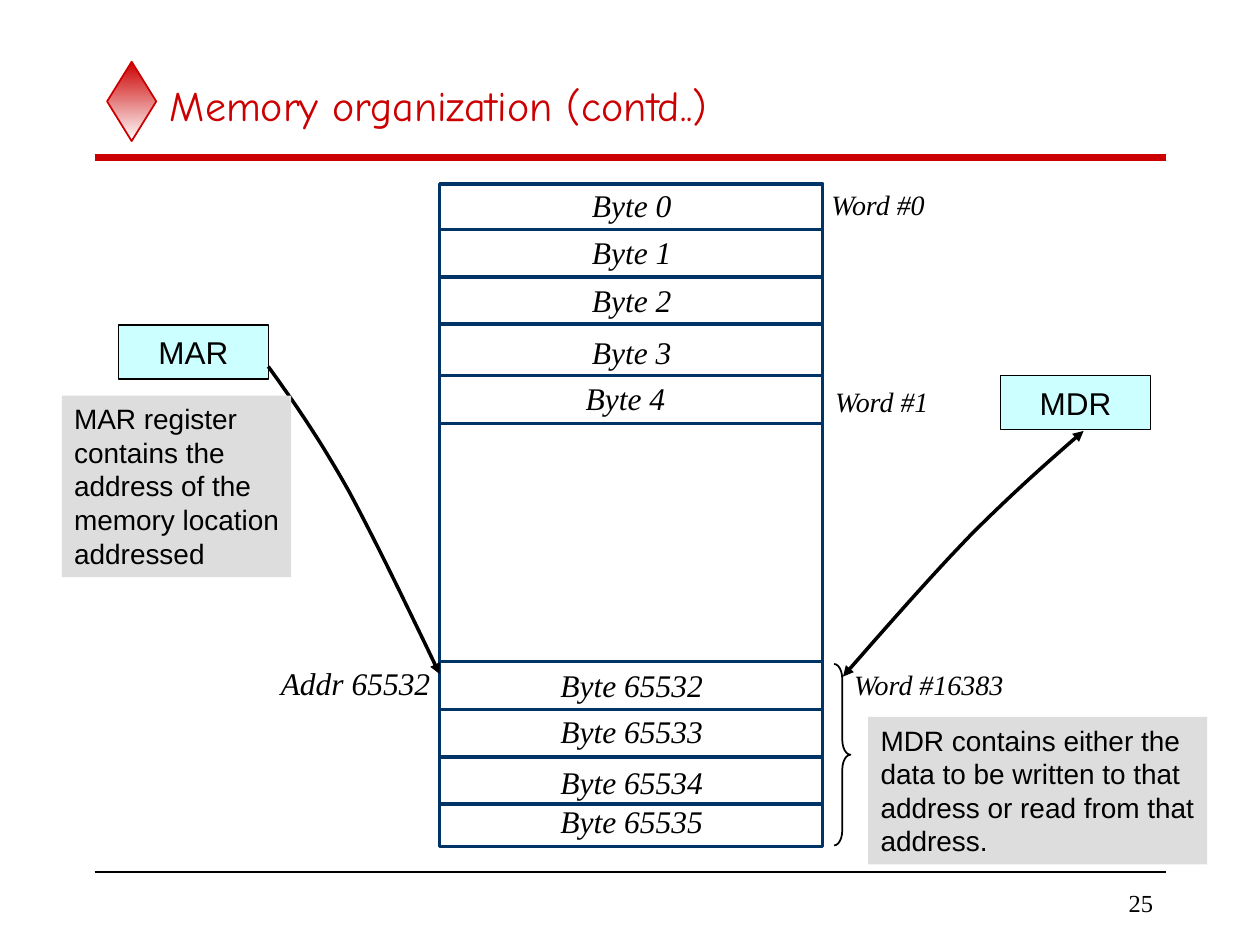
import pptx
import pptx.dml.color
import pptx.enum.shapes
import pptx.enum.text
import pptx.oxml.ns
import pptx.shapes.autoshape
import pptx.util
from dataclasses import dataclass
from typing import Any, Optional
from lxml import etree

Inches = pptx.util.Inches
Shape = pptx.enum.shapes.MSO_SHAPE
Align = pptx.enum.text.PP_ALIGN
Anchor = pptx.enum.text.MSO_ANCHOR
AutoSize = pptx.enum.text.MSO_AUTO_SIZE
qn = pptx.oxml.ns.qn

COLOURS = {
    "red": "CC0000",
    "white": "FFFFFF",
    "black": "000000",
    "navy": "003366",
    "cyan": "CCFFFF",
    "grey": "DDDDDD",
}
SERIF = "Times New Roman"
BYTE_FORMAT = {"name": SERIF, "size": pptx.util.Pt(18), "italic": True}
WORD_FORMAT = {"name": SERIF, "size": pptx.util.Pt(16), "italic": True}
REGISTER_FORMAT = {"name": "Arial", "size": pptx.util.Pt(18)}
NOTE_FORMAT = {"name": "Arial", "size": pptx.util.Pt(16)}
TITLE_FORMAT = {"name": "Comic Neue", "size": pptx.util.Pt(24)}
NUMBER_FORMAT = {"name": SERIF, "size": pptx.util.Pt(14)}

MEMORY_LEFT, MEMORY_RIGHT = 3.5, 6.54
DIVIDERS = (1.82, 2.2, 2.57, 2.98, 3.36, 5.25, 5.63, 6.01, 6.38)

Point = tuple[float, float]
Area = tuple[float, float, float, float]


@dataclass
class Label:
    text: str
    area: Area
    format: dict[str, Any]
    colour: str = "black"
    align: Any = Align.LEFT
    anchor: Any = Anchor.TOP


@dataclass
class Block:
    area: Area
    fill: Optional[str] = None
    line: Optional[str] = "black"
    width: float = 1
    kind: Any = Shape.RECTANGLE


@dataclass
class Curve:
    start: Point
    beziers: list[tuple[Point, Point, Point]]
    ends: tuple[str, ...]


LABELS = [
    *(Label(f"Byte {number}", (4.6, top, 0.83, 0.4), BYTE_FORMAT)
      for number, top in enumerate((1.43, 1.8, 2.18, 2.59))),
    Label("Byte 4", (4.55, 2.96, 0.83, 0.4), BYTE_FORMAT),
    *(Label(f"Byte {number}", (4.35, top, 1.33, 0.4), BYTE_FORMAT)
      for number, top in enumerate((5.24, 5.6, 6.01, 6.32), 65532)),
    Label("Word #0", (6.5, 1.44, 0.97, 0.37), WORD_FORMAT),
    Label("Word #1", (6.53, 3, 0.97, 0.37), WORD_FORMAT),
    Label("Word #16383", (6.68, 5.25, 1.41, 0.37), WORD_FORMAT),
    Label("Addr 65532", (2.13, 5.22, 1.39, 0.4), BYTE_FORMAT),
]
REGISTERS = [
    Label("MAR", (0.94, 2.58, 1.19, 0.43), REGISTER_FORMAT, "black", Align.CENTER, Anchor.MIDDLE),
    Label("MDR", (7.94, 2.98, 1.19, 0.43), REGISTER_FORMAT, "black", Align.CENTER, Anchor.MIDDLE),
]
CURVES = [
    Curve((2.13, 2.91), [((2.34, 3.2), (2.54, 3.49), (2.77, 3.9)),
                         ((2.99, 4.31), (3.24, 4.83), (3.49, 5.35))], ("tailEnd",)),
    Curve((6.69, 5.37), [((7.04, 4.97), (7.39, 4.57), (7.71, 4.24)),
                         ((8.03, 3.92), (8.31, 3.67), (8.6, 3.42))], ("headEnd", "tailEnd")),
]
NOTES = [
    Label("MAR register\ncontains the\naddress of the\nmemory location\naddressed",
          (0.49, 3.14, 1.82, 1.44), NOTE_FORMAT),
    Label("MDR contains either the\ndata to be written to that\naddress or read from that\naddress.",
          (6.89, 5.69, 2.69, 1.17), NOTE_FORMAT),
]


def colour_of(name: str) -> pptx.dml.color.RGBColor:
    return pptx.dml.color.RGBColor.from_string(COLOURS[name])


def apply(target: Any, values: dict[str, Any]) -> None:
    for name, value in values.items():
        setattr(target, name, value)


def style_line(line: Any, colour: str, width: float) -> None:
    line.color.rgb = colour_of(colour)
    line.width = pptx.util.Pt(width)


def write_text(box: Any, label: Label) -> None:
    frame = box.text_frame
    frame.text = label.text
    apply(frame, {"word_wrap": False, "auto_size": AutoSize.NONE, "vertical_anchor": label.anchor})
    for para in frame.paragraphs:
        para.alignment = label.align
        for span in para.runs:
            apply(span.font, label.format)
            span.font.color.rgb = colour_of(label.colour)


def draw_label(page: Any, label: Label) -> None:
    write_text(page.shapes.add_textbox(*map(Inches, label.area)), label)


def draw_block(page: Any, block: Block) -> pptx.shapes.autoshape.Shape:
    box = page.shapes.add_shape(block.kind, *map(Inches, block.area))
    box.shadow.inherit = False
    if block.fill:
        box.fill.solid()
        box.fill.fore_color.rgb = colour_of(block.fill)
    else:
        box.fill.background()
    if block.line:
        style_line(box.line, block.line, block.width)
    else:
        box.line.fill.background()
    return box


def draw_rule(page: Any, left: float, right: float, top: float, colour: str, width: float) -> None:
    rule = page.shapes.add_connector(
        pptx.enum.shapes.MSO_CONNECTOR.STRAIGHT,
        Inches(left), Inches(top), Inches(right), Inches(top))
    style_line(rule.line, colour, width)
    etree.SubElement(rule.element.spPr, qn("a:effectLst"))


def bezier_points(points: tuple[Point, ...], steps: int = 16) -> list[Point]:
    found = []
    for step in range(1, steps + 1):
        t = step / steps
        weights = ((1 - t) ** 3, 3 * t * (1 - t) ** 2, 3 * t * t * (1 - t), t ** 3)
        found.append(tuple(
            Inches(sum(w * point[axis] for w, point in zip(weights, points))) for axis in (0, 1)))
    return found


def draw_curve(page: Any, curve: Curve) -> None:
    builder = page.shapes.build_freeform(*map(Inches, curve.start))
    start = curve.start
    for bezier in curve.beziers:
        builder.add_line_segments(bezier_points((start, *bezier)), close=False)
        start = bezier[-1]
    arrow = builder.convert_to_shape()
    arrow.shadow.inherit = False
    arrow.fill.background()
    style_line(arrow.line, "black", 2)
    outline = arrow.element.spPr.find(qn("a:ln"))
    for end in curve.ends:
        etree.SubElement(outline, qn(f"a:{end}"), type="triangle")


def draw_header_and_footer(page: Any) -> None:
    diamond = draw_block(page, Block((0.85, 0.49, 0.39, 0.63), "red", "red", 1, Shape.DIAMOND))
    diamond.fill.gradient()
    diamond.fill.gradient_angle = 270
    for stop, colour, position in zip(diamond.fill.gradient_stops, ("red", "white"), (0, 1)):
        stop.color.rgb = colour_of(colour)
        stop.position = position
    draw_rule(page, 0.75, 9.25, 1.25, "red", 4)
    draw_rule(page, 0.75, 9.25, 6.92, "black", 1)
    draw_label(page, Label("25", (7.83, 7, 1.42, 0.33), NUMBER_FORMAT,
                           "black", Align.RIGHT, Anchor.MIDDLE))
    draw_label(page, Label("Memory organization (contd..)", (1.25, 0.5, 8, 0.67), TITLE_FORMAT,
                           "red", Align.LEFT, Anchor.MIDDLE))


def main() -> None:
    deck = pptx.Presentation()
    apply(deck, {"slide_width": Inches(10), "slide_height": Inches(7.5)})
    page = deck.slides.add_slide(deck.slide_layouts[6])
    draw_header_and_footer(page)
    draw_block(page, Block((3.49, 1.46, 3.04, 5.26), "white", "navy", 2))
    for top in DIVIDERS:
        draw_rule(page, MEMORY_LEFT, MEMORY_RIGHT, top, "navy", 2)
    for label in LABELS:
        draw_label(page, label)
    for register in REGISTERS:
        write_text(draw_block(page, Block(register.area, "cyan")), register)
    brace = draw_block(page, Block((6.62, 5.27, 0.13, 1.44), kind=Shape.RIGHT_BRACE))
    brace.adjustments[0] = 0.92
    for curve in CURVES:
        draw_curve(page, curve)
    for note in NOTES:
        write_text(draw_block(page, Block(note.area, "grey", None)), note)
    deck.save("out.pptx")


if __name__ == "__main__":
    main()
